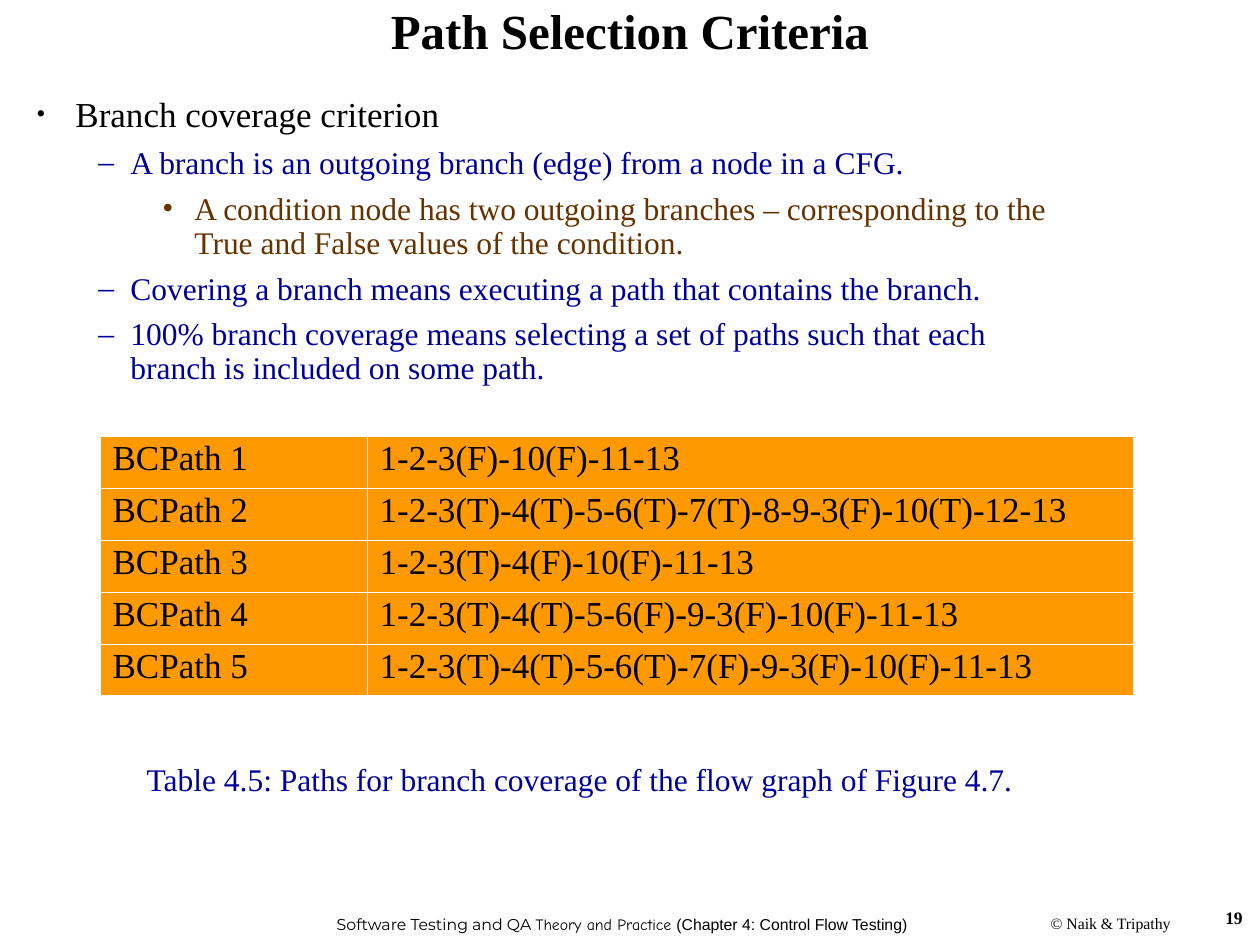
from dataclasses import dataclass

from lxml import etree
from pptx import Presentation
from pptx.dml.color import RGBColor
from pptx.enum.text import MSO_ANCHOR, PP_ALIGN
from pptx.oxml.ns import qn
from pptx.util import Emu, Pt

LEFT, CENTER, RIGHT = PP_ALIGN.LEFT, PP_ALIGN.CENTER, PP_ALIGN.RIGHT
TOP, MIDDLE = MSO_ANCHOR.TOP, MSO_ANCHOR.MIDDLE
PIXEL = 914400 / 126


@dataclass(frozen=True)
class Theme:
    serif: str = "Times New Roman"
    black: str = "000000"
    blue: str = "000099"
    brown: str = "663300"
    orange: str = "FF9900"
    white: str = "FFFFFF"
    title: int = 28
    large: int = 20
    body: int = 18
    number: int = 10
    footer: int = 9
    outer_border: float = 1.08
    inner_border: float = 0.45


THEME = Theme()

# Outline level: margin, hanging indent, space before, bullet, bullet size, colour, type size
LEVELS = [
    (39, 39, 7.5, "•", 75, THEME.black, THEME.large),
    (94, 32, 6.8, "–", 100, THEME.blue, THEME.body),
    (158, 32, 6.8, "•", 100, THEME.brown, THEME.body),
]


def px(length):
    return Emu(round(length * PIXEL))


def add_text(para, text, size=THEME.body, font=THEME.serif, color=THEME.black,
             bold=False, align=LEFT, line_spacing=None):
    """Append one formatted span to a paragraph."""
    para.alignment = align
    if line_spacing:
        para.line_spacing = line_spacing
    span = para.add_run()
    span.text = text
    span.font.size = Pt(size)
    span.font.name = font
    span.font.bold = bold
    span.font.color.rgb = RGBColor.from_string(color)


def add_bullet(para, level):
    margin, hanging, before, character, percent, color, _ = LEVELS[level]
    para.level = level
    para.space_before = Pt(before)
    properties = para._p.get_or_add_pPr()
    properties.set("marL", str(px(margin)))
    properties.set("indent", str(-px(hanging)))
    bullet_color = etree.SubElement(properties, qn("a:buClr"))
    etree.SubElement(bullet_color, qn("a:srgbClr"), val=color)
    etree.SubElement(properties, qn("a:buSzPct"), val=str(percent * 1000))
    etree.SubElement(properties, qn("a:buFont"), typeface=THEME.serif)
    etree.SubElement(properties, qn("a:buChar"), char=character)


def add_border(cell, side, width):
    line = etree.SubElement(cell._tc.get_or_add_tcPr(), qn(f"a:ln{side}"), w=str(Pt(width)))
    fill = etree.SubElement(line, qn("a:solidFill"))
    etree.SubElement(fill, qn("a:srgbClr"), val=THEME.white)


class SlideBuilder:
    def __init__(self, deck, theme):
        self.theme = theme
        self.page = deck.slides.add_slide(deck.slide_layouts[6])

    def frame(self, left, top, width, height, anchor=TOP, wrap=True):
        box = self.page.shapes.add_textbox(px(left), px(top), px(width), px(height))
        box.text_frame.word_wrap = wrap
        box.text_frame.vertical_anchor = anchor
        return box.text_frame

    def text(self, area, spans, anchor=MIDDLE, wrap=True, **style):
        """Place one paragraph; each span is a text with its own format."""
        para = self.frame(*area, anchor, wrap).paragraphs[0]
        for text, own_style in spans:
            add_text(para, text, **{**style, **own_style})

    def outline(self, area, items):
        frame = self.frame(*area)
        for index, (level, text) in enumerate(items):
            para = frame.add_paragraph() if index else frame.paragraphs[0]
            color, size = LEVELS[level][-2:]
            add_text(para, text, size=size, color=color, line_spacing=0.9)
            add_bullet(para, level)

    def table(self, left, top, widths, row_height, rows):
        grid = self.page.shapes.add_table(
            len(rows), len(widths), px(left), px(top),
            px(sum(widths)), px(row_height * len(rows))).table
        grid.first_row = grid.horz_banding = False
        for column, width in zip(grid.columns, widths):
            column.width = px(width)
        last_row, last_column = len(rows) - 1, len(widths) - 1
        for r, values in enumerate(rows):
            grid.rows[r].height = px(row_height)
            for c, value in enumerate(values):
                cell = grid.cell(r, c)
                edges = {"L": c == 0, "R": c == last_column, "T": r == 0, "B": r == last_row}
                for side, is_outer in edges.items():
                    add_border(cell, side, self.theme.outer_border if is_outer
                               else self.theme.inner_border)
                cell.fill.solid()
                cell.fill.fore_color.rgb = RGBColor.from_string(self.theme.orange)
                add_text(cell.text_frame.paragraphs[0], value,
                         size=self.theme.large, line_spacing=0.9)


deck = Presentation()
deck.slide_width, deck.slide_height = px(1260), px(945)
slide = SlideBuilder(deck, THEME)

# Footer
slide.text((323, 900, 598, 48), [
    ("Software Testing and QA ", {"font": "Montserrat"}),
    ("Theory and Practice ", {"font": "Comic Neue"}),
    ("(Chapter 4: Control Flow Testing)", {"font": "Arial"}),
], wrap=False, size=THEME.footer, align=CENTER)
slide.text((1019, 907, 183, 32), [("© Naik & Tripathy", {})],
           wrap=False, size=THEME.footer, align=CENTER)

# Title
slide.text((0, 0, 1260, 67), [("Path Selection Criteria", {})],
           size=THEME.title, bold=True, align=CENTER, line_spacing=0.9)

# Bullets
slide.outline((24, 91, 1051, 310), [
    (0, "Branch coverage criterion"),
    (1, "A branch is an outgoing branch (edge) from a node in a CFG."),
    (2, "A condition node has two outgoing branches – corresponding to the "
        "True and False values of the condition."),
    (1, "Covering a branch means executing a path that contains the branch."),
    (1, "100% branch coverage means selecting a set of paths such that each "
        "branch is included on some path."),
])

# Path table and its caption
paths = [
    "1-2-3(F)-10(F)-11-13",
    "1-2-3(T)-4(T)-5-6(T)-7(T)-8-9-3(F)-10(T)-12-13",
    "1-2-3(T)-4(F)-10(F)-11-13",
    "1-2-3(T)-4(T)-5-6(F)-9-3(F)-10(F)-11-13",
    "1-2-3(T)-4(T)-5-6(T)-7(F)-9-3(F)-10(F)-11-13",
]
slide.table(100, 436, [267, 767], 52,
            [(f"BCPath {number}", route) for number, route in enumerate(paths, 1)])
slide.text((120, 757, 920, 48), [
    ("Table 4.5: Paths for branch coverage of the flow graph of Figure 4.7.", {}),
], color=THEME.blue, align=CENTER, line_spacing=0.9)

# Page number
slide.text((961, 901, 294, 40), [("19", {})], anchor=TOP,
           size=THEME.number, bold=True, align=RIGHT)

deck.save("out.pptx")
